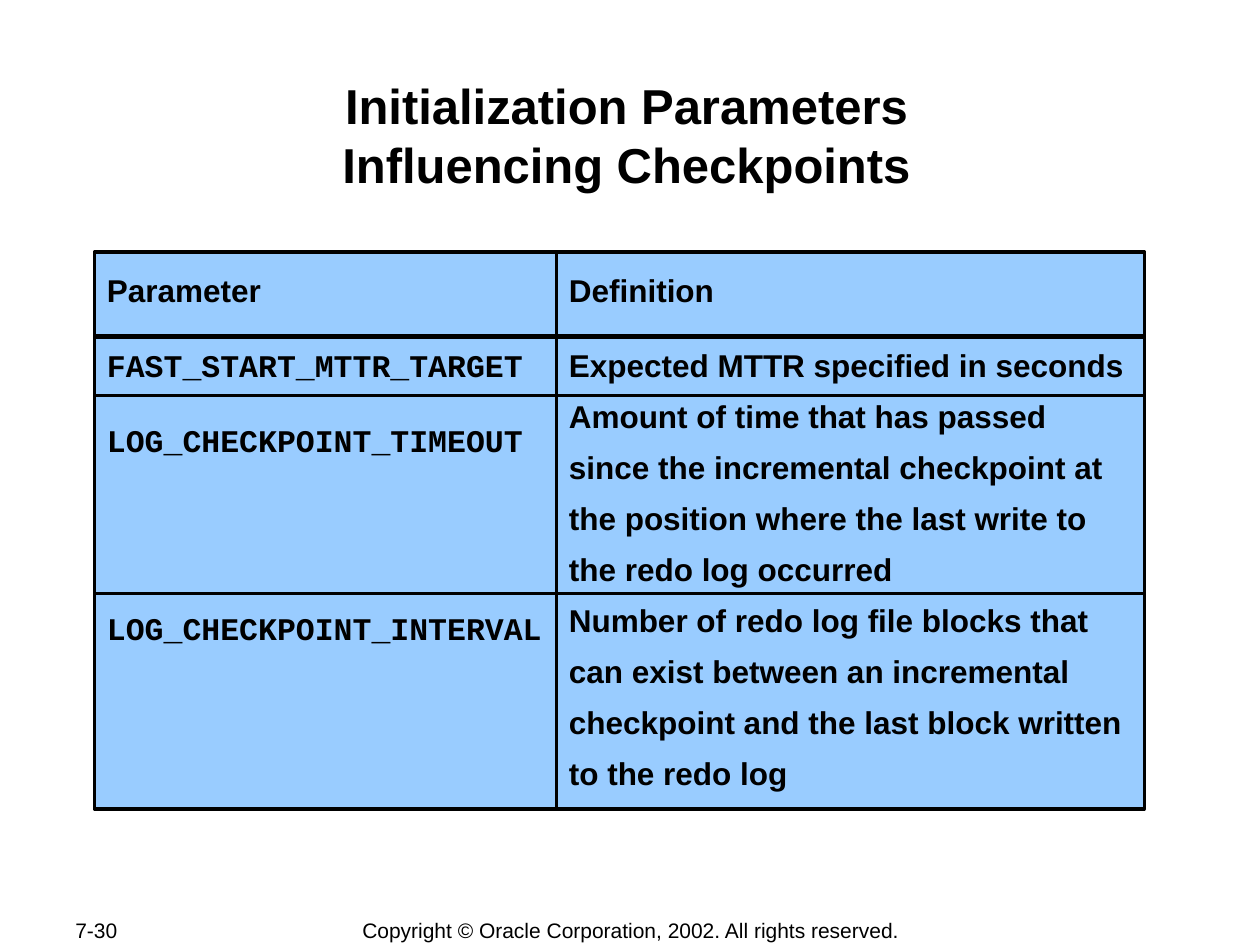
from dataclasses import dataclass

from lxml import etree
from pptx import Presentation
from pptx.dml.color import RGBColor
from pptx.enum import shapes, text as t
from pptx.oxml.ns import qn
from pptx.util import Pt


@dataclass(frozen=True)
class Theme:
    ink: RGBColor = RGBColor(0, 0, 0)
    panel: RGBColor = RGBColor(0x99, 0xCC, 0xFF)
    sans: str = "Arial"
    mono: str = "Courier New"
    title: int = 28
    body: int = 18
    footer: int = 12
    rule: int = 2
    header_rule: int = 3
    leading: float = 1.35


THEME = Theme()
ROW_GAP = 13.5

# Each entry: words, font, space before, line spacing
PARAMETERS = [
    ("Parameter", THEME.sans, 0, THEME.leading),
    ("FAST_START_MTTR_TARGET", THEME.mono, ROW_GAP, THEME.leading),
    ("LOG_CHECKPOINT_TIMEOUT", THEME.mono, ROW_GAP, THEME.leading),
    ("LOG_CHECKPOINT_INTERVAL", THEME.mono, 86, 1.0),
]
DEFINITIONS = [
    ("Definition", THEME.sans, 0, THEME.leading),
    ("Expected MTTR specified in seconds", THEME.sans, ROW_GAP, THEME.leading),
    ("Amount of time that has passed since the incremental checkpoint at "
     "the position where the last write to the redo log occurred",
     THEME.sans, 0, THEME.leading),
    ("Number of redo log file blocks that can exist between an incremental "
     "checkpoint and the last block written to the redo log",
     THEME.sans, 0, THEME.leading),
]
COLUMNS = [(264, PARAMETERS), (336, DEFINITIONS)]
# Distance of each rule below the top of the grid, and its weight
RULES = [(48.2, THEME.header_rule), (82.1, THEME.rule), (195.1, THEME.rule)]


def add_run(paragraph, words, size, bold=False, font=THEME.sans):
    run = paragraph.add_run()
    run.text = words
    run.font.name = font
    run.font.size = Pt(size)
    run.font.bold = bold
    run.font.color.rgb = THEME.ink


def add_text_frame(slide, box, align):
    frame = slide.shapes.add_textbox(*map(Pt, box)).text_frame
    frame.word_wrap = True
    frame.vertical_anchor = t.MSO_ANCHOR.MIDDLE
    frame.margin_left = frame.margin_right = Pt(0)
    frame.margin_top = frame.margin_bottom = Pt(0)
    frame.paragraphs[0].alignment = align
    return frame


def add_title(slide, box, lines):
    paragraph = add_text_frame(slide, box, t.PP_ALIGN.CENTER).paragraphs[0]
    for number, line in enumerate(lines):
        if number:
            paragraph.add_line_break()
        add_run(paragraph, line, THEME.title, bold=True)


def add_footer(slide, box, words, align):
    frame = add_text_frame(slide, box, align)
    add_run(frame.paragraphs[0], words, THEME.footer)


def add_column(slide, box, entries):
    panel = slide.shapes.add_shape(shapes.MSO_SHAPE.RECTANGLE, *map(Pt, box))
    panel.shadow.inherit = False
    panel.fill.solid()
    panel.fill.fore_color.rgb = THEME.panel
    panel.line.color.rgb = THEME.ink
    panel.line.width = Pt(THEME.rule)
    frame = panel.text_frame
    frame.word_wrap = True
    frame.vertical_anchor = t.MSO_ANCHOR.TOP
    frame.margin_left = frame.margin_right = Pt(7.2)
    frame.margin_top = frame.margin_bottom = Pt(3.6)
    for number, (words, font, gap, leading) in enumerate(entries):
        paragraph = frame.add_paragraph() if number else frame.paragraphs[0]
        paragraph.alignment = t.PP_ALIGN.LEFT
        paragraph.line_spacing = leading
        if gap:
            paragraph.space_before = Pt(gap)
        add_run(paragraph, words, THEME.body, bold=True, font=font)


def add_rule(slide, left, right, y, weight):
    rule = slide.shapes.add_connector(
        shapes.MSO_CONNECTOR.STRAIGHT, *map(Pt, (left, y, right, y)))
    rule.line.color.rgb = THEME.ink
    rule.line.width = Pt(weight)
    etree.SubElement(rule._element.spPr, qn("a:effectLst"))


def add_parameter_grid(slide, left, top, height):
    """Set the two columns side by side and rule the rows across them."""
    right = left
    for width, entries in COLUMNS:
        add_column(slide, (right, top, width, height), entries)
        right += width
    for offset, weight in RULES:
        add_rule(slide, left, right, top + offset, weight)


def main():
    deck = Presentation()
    deck.slide_width, deck.slide_height = Pt(720), Pt(540)
    slide = deck.slides.add_slide(deck.slide_layouts[6])
    add_footer(slide, (43, 524, 76, 15), "7-30", t.PP_ALIGN.LEFT)
    add_footer(slide, (199, 524, 323, 15),
               "Copyright © Oracle Corporation, 2002. All rights reserved.",
               t.PP_ALIGN.CENTER)
    add_title(slide, (70, 42.3, 576, 69),
              ("Initialization Parameters", "Influencing Checkpoints"))
    add_parameter_grid(slide, 54, 144, 318.2)
    deck.save("out.pptx")


if __name__ == "__main__":
    main()
